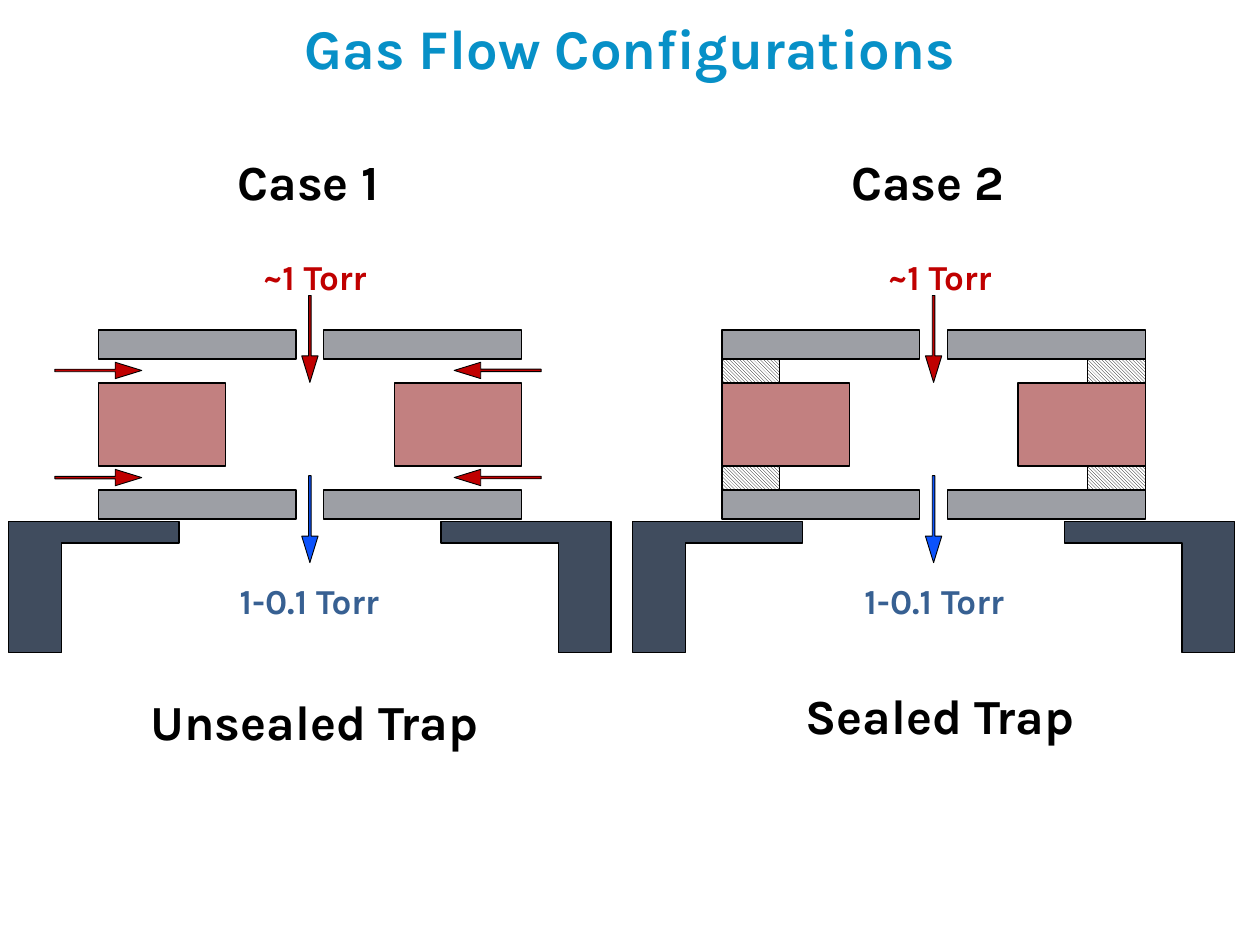
from pptx import Presentation
from pptx.dml.color import RGBColor
from pptx.enum.dml import MSO_PATTERN
from pptx.enum.shapes import MSO_SHAPE as Shape
from pptx.enum.text import MSO_ANCHOR, PP_ALIGN
from pptx.util import Inches, Pt

FONT = "Karla"
BLACK, WHITE, RED, BLUE = "000000", "FFFFFF", "C00000", "0B52FC"
PLATE, RING, BRACKET = "9D9FA5", "C28080", "404C5E"
TITLE_COLOR, OUTLET_COLOR = "0790C7", "376092"

# Content: trap axis, sealing, and labels as (text, left, top, width, height, size, colour)
TITLE = "Gas Flow Configurations"
CASES = [
    dict(axis=2.46, sealed=False, labels=[
        ("Case 1", 1.49, 1.15, 1.91, 0.56, 28, BLACK),
        ("~1 Torr", 1.53, 1.98, 1.94, 0.36, 20, RED),
        ("1-0.1 Torr", 1.34, 4.55, 2.23, 0.36, 20, OUTLET_COLOR),
        ("Unsealed Trap", 0.84, 5.44, 3.31, 0.56, 28, BLACK),
    ]),
    dict(axis=7.41, sealed=True, labels=[
        ("Case 2", 6.41, 1.15, 1.91, 0.56, 28, BLACK),
        ("~1 Torr", 6.49, 1.98, 1.94, 0.36, 20, RED),
        ("1-0.1 Torr", 6.3, 4.55, 2.23, 0.36, 20, OUTLET_COLOR),
        ("Sealed Trap", 6.08, 5.39, 2.76, 0.56, 28, BLACK),
    ]),
]

# Trap geometry: HALF is the distance from the axis to the outer edge
HALF = 1.68
PARTS = [  # top, width, height, colour
    (3.04, 1.01, 0.66, RING),
    (2.62, 1.57, 0.23, PLATE),
    (3.89, 1.57, 0.23, PLATE),
]
SEALS = [(top, 0.46, 0.19, None) for top in (2.85, 3.7)]  # None: hatched
BRACKET_OUTLINE = [  # distance from the axis, height on the slide
    (1.04, 4.31), (1.04, 4.14), (2.39, 4.14), (2.39, 5.18), (1.97, 5.18), (1.97, 4.31),
]
ARROW_WIDTH, ARROW_LENGTH = 0.13, 0.69
AXIAL_ARROWS = [(2.69, RED), (4.12, BLUE)]  # centre height, colour
SIDE_ARROWS = [(-1.68, 270), (1.49, 90)]  # distance from the axis, rotation
SIDE_HEIGHTS = (2.94, 3.79)


def rgb(color):
    return RGBColor.from_string(color)


def style(shape, color, line_width=0.75):
    shape.shadow.inherit = False
    if color:
        shape.fill.solid()
        shape.fill.fore_color.rgb = rgb(color)
    else:
        shape.fill.patterned()
        shape.fill.pattern = MSO_PATTERN.LIGHT_DOWNWARD_DIAGONAL
        shape.fill.fore_color.rgb = rgb(BLACK)
        shape.fill.back_color.rgb = rgb(WHITE)
    shape.line.color.rgb = rgb(BLACK)
    shape.line.width = Pt(line_width)


def write(shape, text, size, color, anchor=MSO_ANCHOR.TOP):
    frame = shape.text_frame
    frame.word_wrap = True
    frame.vertical_anchor = anchor
    paragraph = frame.paragraphs[0]
    paragraph.text = text
    paragraph.alignment = PP_ALIGN.CENTER
    font = paragraph.font
    font.name, font.size, font.bold = FONT, Pt(size), True
    font.color.rgb = rgb(color)


def add_pair(slide, axis, top, width, height, color):
    for left in (axis - HALF, axis + HALF - width):
        block = slide.shapes.add_shape(
            Shape.RECTANGLE, Inches(left), Inches(top), Inches(width), Inches(height))
        style(block, color)


def add_bracket(slide, axis, side):
    points = [(Inches(axis + side * distance), Inches(y)) for distance, y in BRACKET_OUTLINE]
    builder = slide.shapes.build_freeform(*points[0])
    builder.add_line_segments(points[1:], close=True)
    style(builder.convert_to_shape(), BRACKET)


def add_arrow(slide, x, y, color, rotation=0):
    arrow = slide.shapes.add_shape(
        Shape.DOWN_ARROW, Inches(x - ARROW_WIDTH / 2), Inches(y - ARROW_LENGTH / 2),
        Inches(ARROW_WIDTH), Inches(ARROW_LENGTH))
    arrow.adjustments[0], arrow.adjustments[1] = 0.155, 1.621
    arrow.rotation = rotation
    style(arrow, color, 0.5)


def add_case(slide, axis, sealed, labels):
    # Trap blocks and the brackets that hold them
    for part in PARTS + (SEALS if sealed else []):
        add_pair(slide, axis, *part)
    for side in (-1, 1):
        add_bracket(slide, axis, side)
    # Gas flow
    for y, color in AXIAL_ARROWS:
        add_arrow(slide, axis, y, color)
    if not sealed:
        for distance, rotation in SIDE_ARROWS:
            for y in SIDE_HEIGHTS:
                add_arrow(slide, axis + distance, y, RED, rotation)
    # Labels
    for text, left, top, width, height, size, color in labels:
        box = slide.shapes.add_textbox(
            Inches(left), Inches(top), Inches(width), Inches(height))
        write(box, text, size, color)


def main():
    presentation = Presentation()
    presentation.slide_width, presentation.slide_height = Inches(10), Inches(7.5)
    slide = presentation.slides.add_slide(presentation.slide_layouts[5])

    title = slide.shapes.title
    title.left, title.top = Inches(0.71), Inches(0)
    title.width, title.height = Inches(8.58), Inches(0.75)
    write(title, TITLE, 32, TITLE_COLOR, MSO_ANCHOR.MIDDLE)

    for case in CASES:
        add_case(slide, **case)
    presentation.save("out.pptx")


if __name__ == "__main__":
    main()
